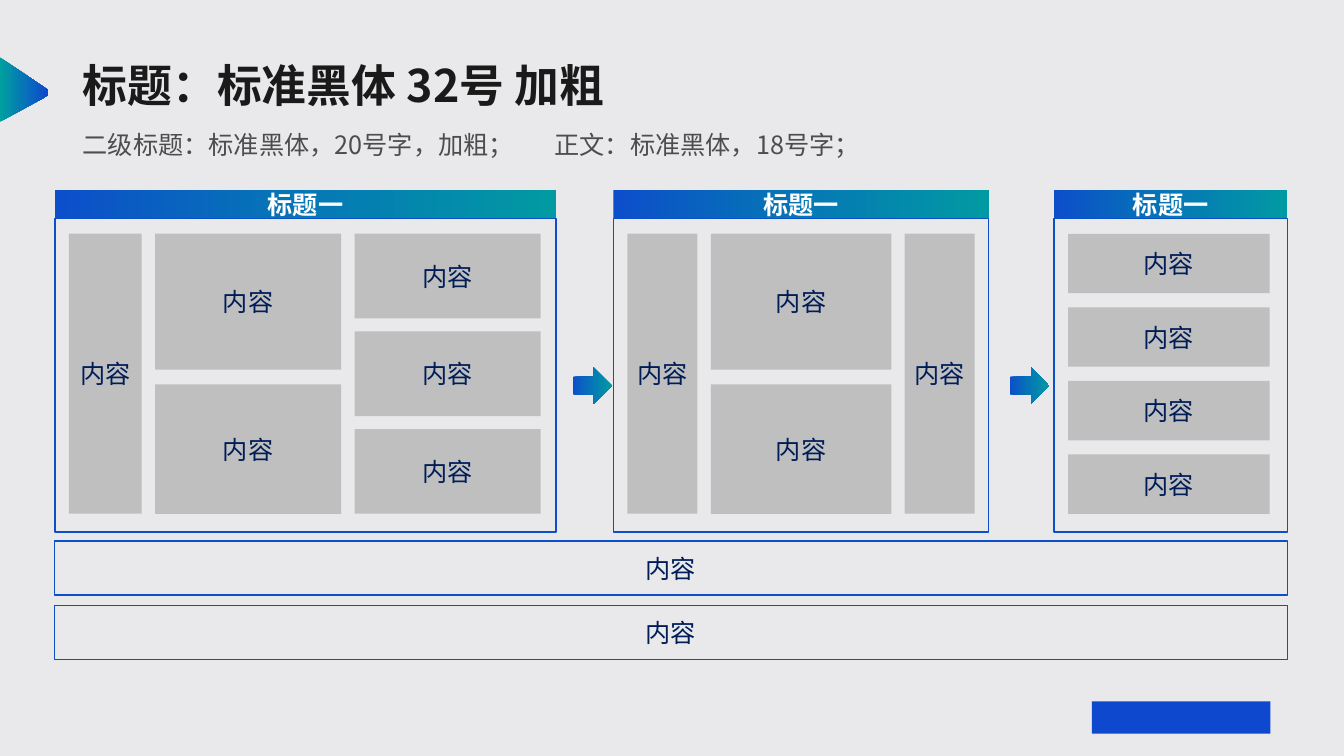
"""Build a process overview slide: three linked panels above two full-width bars."""
from copy import deepcopy
from dataclasses import dataclass

from lxml.etree import SubElement
from pptx import Presentation
from pptx.dml.color import RGBColor
from pptx.enum.shapes import MSO_SHAPE as Preset
from pptx.enum.text import MSO_ANCHOR as Anchor, MSO_AUTO_SIZE as AutoSize, PP_ALIGN as Align
from pptx.oxml.ns import qn
from pptx.util import Pt

TITLE = "标题：标准黑体 32号 加粗"
SUBTITLE = "二级标题：标准黑体，20号字，加粗；\t正文：标准黑体，18号字；"
ITEM = "内容"
PANELS = [
    {"heading": "标题一", "left": 39.25, "width": 358,
     "columns": [(52, [200]), (133, [97, 92.5]), (133, [60.5] * 3)]},
    {"heading": "标题一", "left": 438.25, "width": 268,
     "columns": [(50, [200]), (129, [97, 92.5]), (50, [200])]},
    {"heading": "标题一", "left": 753, "width": 166.5,
     "columns": [(144, [42.5] * 4)]},
]
BARS = [ITEM, ITEM]
ARROW_LEFTS = [409, 721.5]
MARKER = [(0, 41), (31, 62), (33.5, 64.5), (33.5, 68), (31, 70.5), (0, 87)]

HEADER_TOP, HEADER_HEIGHT = 135.5, 20.5
FRAME_TOP, FRAME_HEIGHT = 156, 224
TILE_TOP, TILE_AREA = 167, 200
TILE_INSET, COLUMN_GAP = 10, 9.5
BAR_LEFT, BAR_TOP, BAR_WIDTH, BAR_HEIGHT, BAR_PITCH = 39, 386.5, 880.5, 38.5, 46


@dataclass(frozen=True)
class Theme:
    """Colours, font and type sizes."""
    font: str = "Noto Sans CJK SC"
    background: str = "E9E9EC"
    tile: str = "BFBFBF"
    frame: str = "0C4FCA"
    logo: str = "0D48CE"
    heading: str = "FFFFFF"
    item: str = "001D58"
    title: str = "1A1A1A"
    subtitle: str = "4D4D4D"
    blend: tuple = ((0, "0C4FCA"), (0.44, "0673B7"), (1, "019AA3"))
    marker: tuple = ((0, "00A0A0"), (1, "0D48CE"))
    title_size: int = 32
    body_size: int = 18


THEME = Theme()


def rgb(value):
    return RGBColor.from_string(value)


def style_runs(paragraph, color, size=THEME.body_size, bold=False):
    for run in paragraph.runs:
        font = run.font
        font.name, font.size, font.bold = THEME.font, Pt(size), bold
        font.color.rgb = rgb(color)
        SubElement(font._element, qn("a:ea"), typeface=THEME.font)


def paint(shape, fill=None, line=None):
    shape.shadow.inherit = False
    if fill is None:
        shape.fill.background()
    elif isinstance(fill, str):
        shape.fill.solid()
        shape.fill.fore_color.rgb = rgb(fill)
    else:
        shape.fill.gradient()
        shape.fill.gradient_angle = 0
        stops = shape._element.spPr.find(".//" + qn("a:gsLst"))
        for _ in fill[2:]:
            stops.append(deepcopy(stops[0]))
        for stop, (position, color) in zip(shape.fill.gradient_stops, fill):
            stop.position = position
            stop.color.rgb = rgb(color)
    if line:
        shape.line.color.rgb = rgb(line)
        shape.line.width = Pt(1)
    else:
        shape.line.fill.background()


def add_block(slide, box, fill=None, line=None, label="", color=THEME.item,
              bold=False, preset=Preset.RECTANGLE):
    block = slide.shapes.add_shape(preset, *map(Pt, box))
    paint(block, fill, line)
    if label:
        frame = block.text_frame
        frame.text = label
        frame.word_wrap = False
        frame.vertical_anchor = Anchor.MIDDLE
        frame.margin_top = frame.margin_bottom = 0
        frame.paragraphs[0].alignment = Align.CENTER
        style_runs(frame.paragraphs[0], color, bold=bold)


def add_heading(slide, box, words, color, size, bold=False, tab=None, leading=None):
    frame = slide.shapes.add_textbox(*map(Pt, box)).text_frame
    frame.word_wrap = True
    frame.auto_size = AutoSize.SHAPE_TO_FIT_TEXT
    line = frame.paragraphs[0]
    line.text = words
    if tab:
        tabs = SubElement(line._p.get_or_add_pPr(), qn("a:tabLst"))
        SubElement(tabs, qn("a:tab"), pos=str(Pt(tab)), algn="l")
    if leading:
        line.line_spacing = Pt(leading)
    style_runs(line, color, size, bold)


def add_panel(slide, heading, left, width, columns):
    add_block(slide, (left, FRAME_TOP, width, FRAME_HEIGHT), line=THEME.frame)
    add_block(slide, (left, HEADER_TOP, width, HEADER_HEIGHT), THEME.blend,
              label=heading, color=THEME.heading, bold=True)
    x = left + TILE_INSET
    for column_width, heights in columns:
        gap = (TILE_AREA - sum(heights)) / max(len(heights) - 1, 1)
        y = TILE_TOP
        for height in heights:
            add_block(slide, (x, y, column_width, height), THEME.tile, label=ITEM)
            y += height + gap
        x += column_width + COLUMN_GAP


def main():
    deck = Presentation()
    deck.slide_width, deck.slide_height = Pt(960), Pt(540)
    slide = deck.slides.add_slide(deck.slide_layouts[6])
    slide.background.fill.solid()
    slide.background.fill.fore_color.rgb = rgb(THEME.background)

    add_block(slide, (780, 501, 127.5, 23), THEME.logo)
    outline = slide.shapes.build_freeform(*MARKER[0], scale=Pt(1))
    outline.add_line_segments(MARKER[1:], close=True)
    paint(outline.convert_to_shape(), THEME.marker)

    for panel in PANELS:
        add_panel(slide, **panel)
    for row, label in enumerate(BARS):
        add_block(slide, (BAR_LEFT, BAR_TOP + row * BAR_PITCH, BAR_WIDTH, BAR_HEIGHT),
                  line=THEME.frame, label=label)
    for left in ARROW_LEFTS:
        add_block(slide, (left, 262.5, 28, 26), THEME.blend, preset=Preset.RIGHT_ARROW)

    add_heading(slide, (52, 38, 440.5, 46), TITLE, THEME.title, THEME.title_size, bold=True)
    add_heading(slide, (52, 85.5, 666.5, 30), SUBTITLE, THEME.subtitle, THEME.body_size,
                tab=337, leading=25)
    deck.save("out.pptx")


if __name__ == "__main__":
    main()
